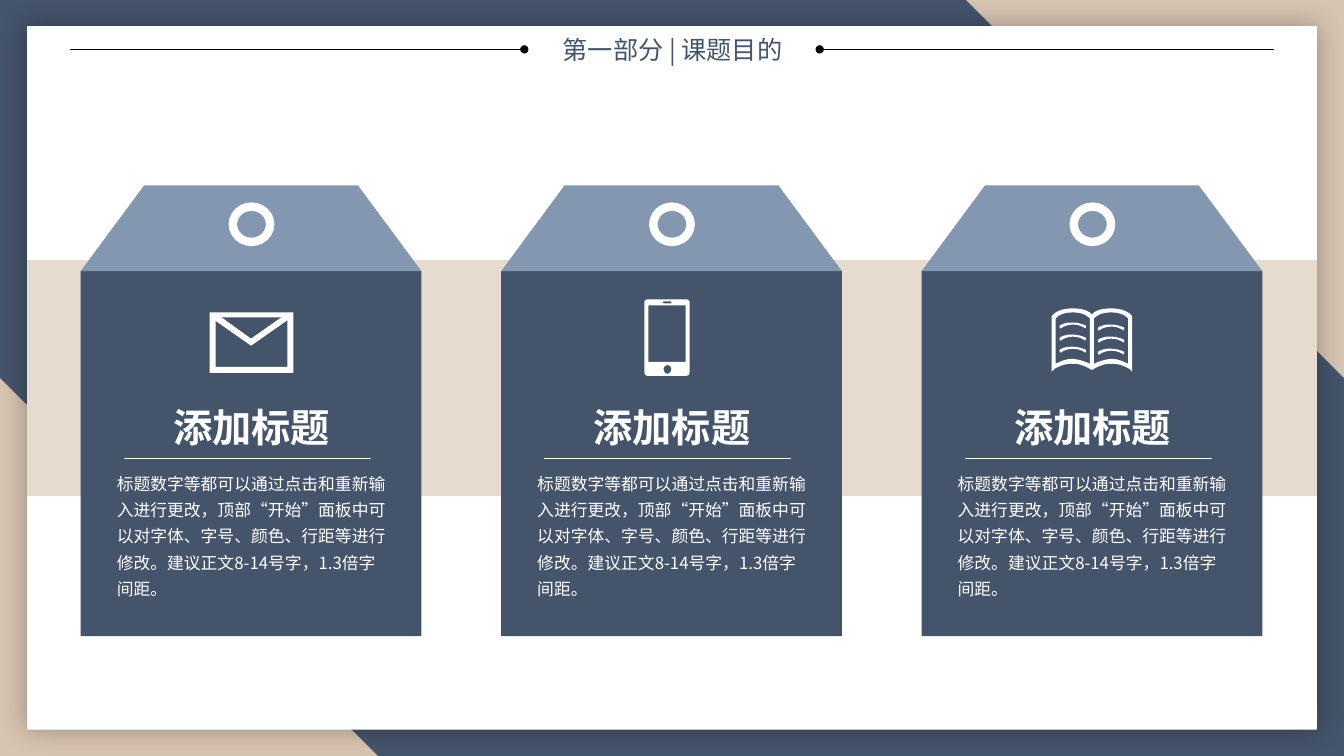
from dataclasses import dataclass
from itertools import chain
from typing import Optional

from lxml.etree import Element, SubElement
from pptx import Presentation
from pptx.dml.color import RGBColor
from pptx.enum.shapes import MSO_CONNECTOR as Connector, MSO_SHAPE as Preset
from pptx.enum.text import MSO_ANCHOR as Anchor, MSO_AUTO_SIZE as AutoSize, PP_ALIGN as Align
from pptx.oxml.ns import qn
from pptx.util import Emu, Pt

EMU_PER_PX = 9144  # 100 px to the inch
FONT = "Noto Sans CJK SC"
COLORS = {
    "sand": "D7C3B1",
    "pale_sand": "E7DBD0",
    "navy": "44546A",
    "steel": "8497B0",
    "white": "FFFFFF",
    "black": "000000",
}
HEADING = "添加标题"
DETAIL = (
    "标题数字等都可以通过点击和重新输入进行更改，顶部“开始”面板中可以对字体、字号、"
    "颜色、行距等进行修改。建议正文8-14号字，1.3倍字间距。"
)
CARD_LEFT, CARD_PITCH = 80, 417

# A loop starts with a point; pairs are straight segments, sextets are Bézier curves.
Loop = list[tuple[int, ...]]


@dataclass(frozen=True)
class Box:
    left: int
    top: int
    width: int
    height: int


@dataclass(frozen=True)
class Outline:
    """Loops filled as one shape, so that inner loops are holes."""
    loops: list[Loop]
    dx: int = 0
    dy: int = 0


@dataclass(frozen=True)
class Writing:
    text: str
    size: int
    color: str
    bold: bool = False
    align: Align = Align.LEFT
    spacing: float = 1.0


def rectangle_loop(left: int, top: int, right: int, bottom: int) -> Loop:
    return [(left, top), (right, top), (right, bottom), (left, bottom)]


ENVELOPE = [
    Outline([rectangle_loop(128, 310, 211, 370), rectangle_loop(134, 315, 205, 364)]),
    Outline([[(169, 343), (129, 315), (133, 310), (169, 336), (206, 310), (209, 315)]]),
]
PHONE = [Outline([
    [(184, 297), (145, 297), (143, 297, 142, 298, 142, 300), (142, 369),
     (142, 371, 143, 373, 145, 373), (184, 373), (186, 373, 187, 371, 187, 369),
     (187, 300), (187, 298, 186, 297, 184, 297)],
    rectangle_loop(146, 303, 183, 359),
    [(161, 299), (169, 299), (169, 299, 169, 300, 169, 300), (169, 300, 169, 301, 169, 301),
     (161, 301), (160, 301, 160, 300, 160, 300), (160, 300, 160, 299, 161, 299)],
    [(165, 371), (163, 371, 161, 369, 161, 366), (161, 364, 163, 362, 165, 362),
     (167, 362, 169, 364, 169, 366), (169, 369, 167, 371, 165, 371)],
])]
COVER = Outline([
    [(188, 306), (177, 306, 171, 309, 169, 312), (167, 309, 161, 306, 150, 306),
     (133, 306, 129, 314, 129, 314), (129, 369), (132, 366),
     (132, 366, 141, 360, 151, 361), (159, 361, 165, 365, 167, 366), (169, 367),
     (171, 366), (173, 365, 179, 361, 187, 361), (197, 360, 206, 366, 206, 366),
     (209, 369), (209, 314), (209, 314, 205, 306, 188, 306)],
    [(205, 361), (201, 359, 195, 356, 188, 356), (180, 357, 175, 359, 171, 361),
     (171, 316), (172, 315, 176, 310, 188, 310), (200, 310, 204, 315, 205, 316)],
    [(167, 361), (163, 359, 158, 357, 150, 356), (143, 356, 137, 359, 133, 361),
     (133, 316), (134, 315, 138, 310, 150, 310), (162, 310, 166, 315, 167, 316)],
])
TEXT_LINE: Loop = [
    (27, 4), (26, 4, 22, 1, 14, 1), (7, 0, 1, 4, 1, 4), (0, 5, 0, 5, 1, 6),
    (1, 6, 1, 7, 2, 7), (3, 6, 8, 3, 14, 3), (21, 3, 25, 6, 25, 6),
    (26, 7, 27, 7, 27, 6), (27, 6, 27, 5, 27, 4),
]
BOOK = [COVER] + [
    Outline([TEXT_LINE], left, top + 12 * row)
    for left, top in ((136, 319), (174, 321))
    for row in range(3)
]
ICONS = [ENVELOPE, PHONE, BOOK]


def px(length: int) -> Emu:
    return Emu(length * EMU_PER_PX)


def place(box: Box) -> tuple[Emu, ...]:
    return px(box.left), px(box.top), px(box.width), px(box.height)


def rgb(color: str) -> RGBColor:
    return RGBColor.from_string(COLORS[color])


def paint(shape, color: str) -> None:
    shape.shadow.inherit = False
    shape.fill.solid()
    shape.fill.fore_color.rgb = rgb(color)
    shape.line.fill.background()


def add_block(shapes, preset: Preset, box: Box, color: str, adjust: tuple[float, ...] = ()):
    shape = shapes.add_shape(preset, *place(box))
    paint(shape, color)
    for index, value in enumerate(adjust):
        shape.adjustments[index] = value
    return shape


def add_glow(shape) -> None:
    """Give the shape a soft, centred dark shadow."""
    effects = shape.element.spPr.find(qn("a:effectLst"))
    shadow = SubElement(effects, qn("a:outerShdw"), blurRad=str(Pt(20)), algn="ctr", rotWithShape="0")
    color = SubElement(shadow, qn("a:srgbClr"), val=COLORS["black"])
    SubElement(color, qn("a:alpha"), val="30000")


def add_rule(shapes, start: int, end: int, top: int, color: str, head: Optional[str] = None) -> None:
    rule = shapes.add_connector(Connector.STRAIGHT, px(start), px(top), px(end), px(top))
    rule.line.color.rgb = rgb(color)
    rule.line.width = Pt(0.5)
    if head:
        SubElement(rule.element.spPr.find(qn("a:ln")), qn("a:headEnd"), type=head)
    SubElement(rule.element.spPr, qn("a:effectLst"))


def write(shape, writing: Writing) -> None:
    para = shape.text_frame.paragraphs[0]
    para.text = writing.text
    para.alignment = writing.align
    para.line_spacing = writing.spacing
    for span in para.runs:
        span.font.name = FONT
        span.font.size = Pt(writing.size)
        span.font.bold = writing.bold
        span.font.color.rgb = rgb(writing.color)
        SubElement(span.font._element, qn("a:ea"), typeface=FONT)


def add_text(shapes, box: Box, writing: Writing, wrap: bool) -> None:
    shape = shapes.add_textbox(*place(box))
    shape.text_frame.word_wrap = wrap
    shape.text_frame.auto_size = AutoSize.SHAPE_TO_FIT_TEXT
    write(shape, writing)


def add_outline(shapes, outline: Outline, left: int) -> None:
    def spot(x: int, y: int) -> tuple[Emu, Emu]:
        return px(x + left + outline.dx), px(y + outline.dy)

    builder = shapes.build_freeform(*spot(*outline.loops[0][0]))
    for number, (start, *segments) in enumerate(outline.loops):
        if number:
            builder.move_to(*spot(*start))
        builder.add_line_segments([spot(*segment[-2:]) for segment in segments], close=True)
    shape = builder.convert_to_shape()
    paint(shape, "white")
    steps = list(shape.element.iter(qn("a:lnTo")))
    for step, segment in zip(steps, chain.from_iterable(loop[1:] for loop in outline.loops)):
        if len(segment) == 6:
            step.tag = qn("a:cubicBezTo")
            for index in (0, 1):
                x, y = spot(*segment[2 * index:2 * index + 2])
                step.insert(index, Element(qn("a:pt"), x=str(x - shape.left), y=str(y - shape.top)))


def add_card(page, left: int) -> None:
    shapes = page.shapes.add_group_shape().shapes
    add_block(shapes, Preset.RECTANGLE, Box(left, 269, 338, 362), "navy")
    add_block(shapes, Preset.TRAPEZOID, Box(left, 184, 338, 85), "steel", (0.74,))
    ring = add_block(shapes, Preset.OVAL, Box(left + 151, 205, 37, 35), "steel")
    ring.fill.background()
    ring.line.color.rgb = rgb("white")
    ring.line.width = Pt(6)
    add_text(shapes, Box(left + 81, 400, 177, 53), Writing(HEADING, 28, "white", True, Align.CENTER, 0.9), False)
    add_text(shapes, Box(left + 26, 459, 288, 141), Writing(DETAIL, 12, "white", spacing=1.3), True)
    add_rule(shapes, left + 43, left + 288, 455, "white")


def add_icon(page, left: int, icon: list[Outline]) -> None:
    shapes = page.shapes.add_group_shape().shapes if len(icon) > 1 else page.shapes
    for outline in icon:
        add_outline(shapes, outline, left)


def add_title(page) -> None:
    title = page.shapes.title
    title.left, title.top, title.width, title.height = place(Box(534, 29, 266, 41))
    title.text_frame.vertical_anchor = Anchor.MIDDLE
    write(title, Writing("第一部分 | 课题目的", 18, "navy", align=Align.CENTER))
    title.element.getparent().append(title.element)


def main() -> None:
    deck = Presentation()
    deck.slide_width, deck.slide_height = px(1333), px(750)
    page = deck.slides.add_slide(deck.slide_layouts[5])
    page.background.fill.solid()
    page.background.fill.fore_color.rgb = rgb("sand")

    add_block(page.shapes, Preset.SNIP_2_DIAG_RECTANGLE, Box(0, 0, 1333, 750), "navy", (0, 0.5))
    add_glow(add_block(page.shapes, Preset.RECTANGLE, Box(27, 26, 1279, 698), "white"))
    for start, end in ((520, 69), (813, 1264)):
        add_rule(page.shapes, start, end, 49, "black", "oval")
    add_block(page.shapes, Preset.RECTANGLE, Box(27, 258, 1279, 234), "pale_sand")
    add_title(page)
    for index, icon in enumerate(ICONS):
        left = CARD_LEFT + index * CARD_PITCH
        add_card(page, left)
        add_icon(page, left, icon)
    deck.save("out.pptx")


if __name__ == "__main__":
    main()
